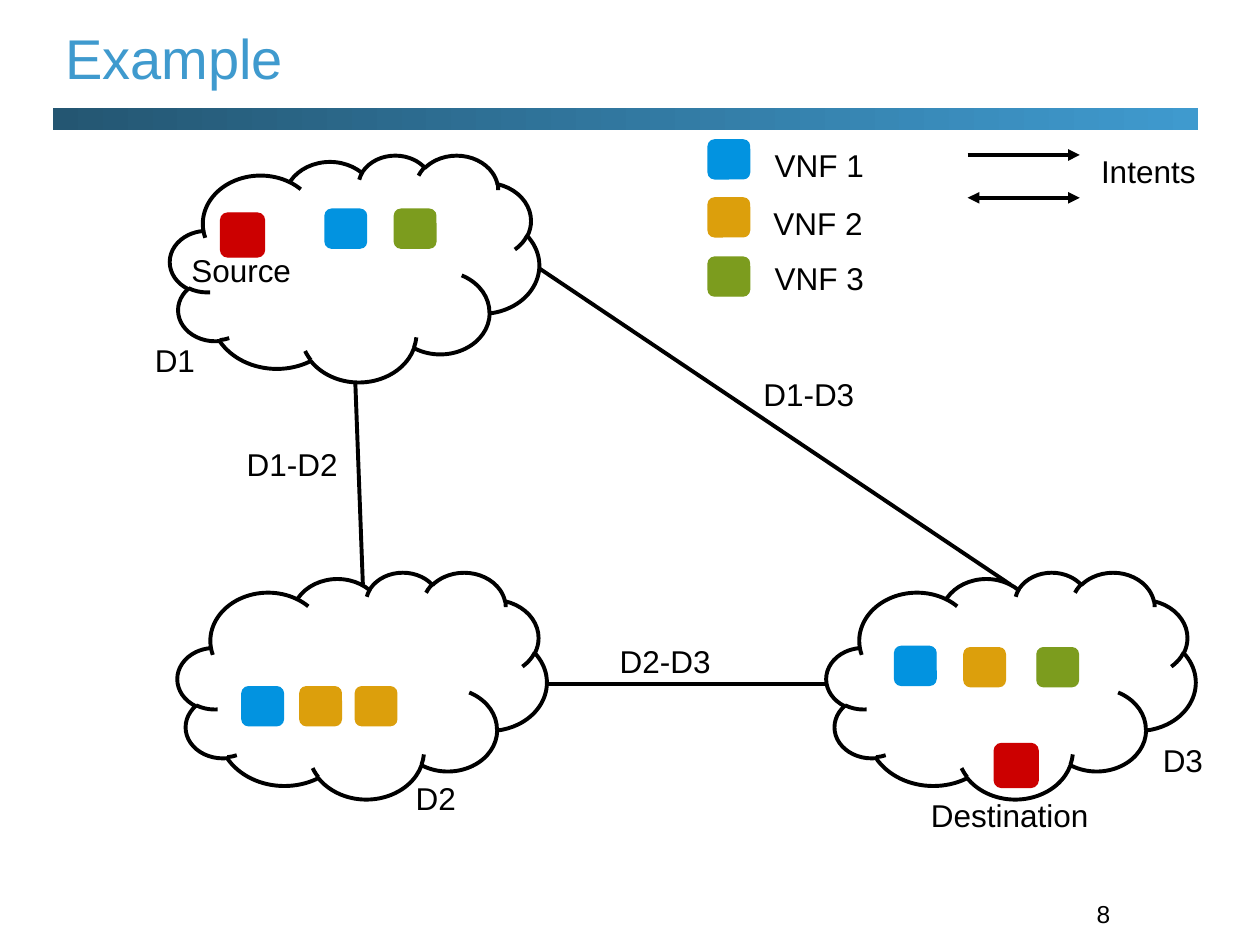
"""Draw three network domains, their functions and the links between them."""
from dataclasses import dataclass

from lxml import etree
from pptx import Presentation
from pptx.dml.color import RGBColor
from pptx.enum.shapes import MSO_CONNECTOR, MSO_SHAPE
from pptx.enum.text import MSO_ANCHOR, MSO_AUTO_SIZE, PP_ALIGN
from pptx.oxml.ns import qn
from pptx.util import Inches, Length, Pt

CLOUD, ROUNDED, RECTANGLE = MSO_SHAPE.CLOUD, MSO_SHAPE.ROUNDED_RECTANGLE, MSO_SHAPE.RECTANGLE
STRAIGHT = MSO_CONNECTOR.STRAIGHT
TOP, MIDDLE = MSO_ANCHOR.TOP, MSO_ANCHOR.MIDDLE
LEFT, RIGHT = PP_ALIGN.LEFT, PP_ALIGN.RIGHT
FIT, FIXED = MSO_AUTO_SIZE.SHAPE_TO_FIT_TEXT, MSO_AUTO_SIZE.NONE
CELL = Inches(0.1)
COLUMNS, ROWS = 100, 75


@dataclass(frozen=True)
class Theme:
    font: str = "Arial"
    title_size: float = 32
    label_size: float = 18
    number_size: float = 14
    stroke: float = 2.25
    thin_stroke: float = 0.75
    paper: str = "FFFFFF"
    ink: str = "000000"
    accent: str = "3F9ACE"
    accent_dark: str = "245672"
    vnf1: str = "0293E0"
    vnf2: str = "DC9F0C"
    vnf3: str = "7C9C1E"
    endpoint: str = "CC0000"


THEME = Theme()


@dataclass(frozen=True)
class Box:
    column: float
    row: float
    columns: float
    rows: float

    def lengths(self) -> tuple[Length, ...]:
        return tuple(Length(round(cells * CELL))
                     for cells in (self.column, self.row, self.columns, self.rows))


@dataclass(frozen=True)
class Label:
    text: str
    box: Box
    size: float = THEME.label_size
    color: str = THEME.ink
    anchor: MSO_ANCHOR = TOP
    align: PP_ALIGN = LEFT
    fit: MSO_AUTO_SIZE = FIT


@dataclass(frozen=True)
class Node:
    column: float
    row: float
    color: str


@dataclass(frozen=True)
class Link:
    start: tuple[float, float]
    end: tuple[float, float]
    arrowheads: tuple[str, ...] = ()


CLOUDS = [(13.5, 12.3), (14.1, 45.4), (65.6, 45.4)]
LINKS = [
    Link((42.8, 21.3), (80.2, 46.4)),
    Link((28.2, 30.3), (28.8, 46.4)),
    Link((43.4, 54.3), (65.7, 54.3)),
    Link((76.8, 12.3), (85.7, 12.3), ("tailEnd",)),
    Link((76.8, 15.7), (85.7, 15.7), ("headEnd", "tailEnd")),
]
FUNCTIONS = [
    Node(56.2, 11.1, THEME.vnf1), Node(56.2, 15.7, THEME.vnf2), Node(56.2, 20.4, THEME.vnf3),
    Node(25.8, 16.6, THEME.vnf1), Node(31.3, 16.6, THEME.vnf3),
    Node(19.2, 54.5, THEME.vnf1), Node(23.8, 54.5, THEME.vnf2), Node(28.2, 54.5, THEME.vnf2),
    Node(71, 51.3, THEME.vnf1), Node(76.5, 51.4, THEME.vnf2), Node(82.3, 51.4, THEME.vnf3),
]
ENDPOINTS = [Node(17.5, 16.9, THEME.endpoint), Node(78.9, 59, THEME.endpoint)]
LABELS = [
    Label("Example", Box(4.2, 0.8, 90.8, 7.5), THEME.title_size, THEME.accent, MIDDLE, fit=FIXED),
    Label("8", Box(83.3, 70, 5.8, 5), THEME.number_size, anchor=MIDDLE, align=RIGHT, fit=FIXED),
    Label("VNF 1", Box(60.5, 11.1, 9.2, 4)),
    Label("VNF 2", Box(60.4, 15.7, 9.2, 4)),
    Label("VNF 3", Box(60.5, 20.1, 9.2, 4)),
    Label("Intents", Box(86.4, 11.6, 9.6, 4)),
    Label("Source", Box(14.2, 19.4, 10, 4)),
    Label("Destination", Box(72.9, 62.7, 14.6, 4)),
    Label("D1", Box(11.3, 26.6, 5.2, 4)),
    Label("D2", Box(32, 61.3, 5.2, 4)),
    Label("D3", Box(91.3, 58.3, 5.2, 4)),
    Label("D1-D2", Box(18.6, 34.8, 9.3, 4)),
    Label("D2-D3", Box(48.2, 50.5, 9.3, 4)),
    Label("D1-D3", Box(59.6, 29.3, 9.3, 4)),
]


def draw_shape(slide, kind: MSO_SHAPE, box: Box, fill: str, line: str, width: float) -> None:
    """Draw an outlined preset shape."""
    shape = slide.shapes.add_shape(kind, *box.lengths())
    shape.shadow.inherit = False
    shape.fill.solid()
    shape.fill.fore_color.rgb = RGBColor.from_string(fill)
    shape.line.color.rgb = RGBColor.from_string(line)
    shape.line.width = Pt(width)


def draw_title_bar(slide) -> None:
    """Draw the bar that darkens towards the left."""
    bar = slide.shapes.add_shape(RECTANGLE, *Box(4.2, 8.6, 90.9, 1.7).lengths())
    bar.shadow.inherit = False
    bar.line.fill.background()
    bar.fill.gradient()
    bar.fill.gradient_angle = 0
    for stop, position, color in zip(bar.fill.gradient_stops, (0, 1),
                                     (THEME.accent_dark, THEME.accent)):
        stop.position = position
        stop.color.rgb = RGBColor.from_string(color)


def draw_link(slide, link: Link) -> None:
    """Draw a straight line with its arrowheads."""
    points = [Length(round(cells * CELL)) for cells in link.start + link.end]
    connector = slide.shapes.add_connector(STRAIGHT, *points)
    connector.line.color.rgb = RGBColor.from_string(THEME.ink)
    connector.line.width = Pt(THEME.stroke)
    properties = connector.line._get_or_add_ln()
    for arrowhead in link.arrowheads:
        etree.SubElement(properties, qn(f"a:{arrowhead}"), type="triangle")
    etree.SubElement(connector._element.spPr, qn("a:effectLst"))


def draw_label(slide, label: Label) -> None:
    """Write one line of text."""
    text_frame = slide.shapes.add_textbox(*label.box.lengths()).text_frame
    text_frame.text = label.text
    text_frame.word_wrap = False
    text_frame.auto_size = label.fit
    text_frame.vertical_anchor = label.anchor
    paragraph = text_frame.paragraphs[0]
    paragraph.alignment = label.align
    font = paragraph.runs[0].font
    font.name = THEME.font
    font.size = Pt(label.size)
    font.color.rgb = RGBColor.from_string(label.color)


def main() -> None:
    """Build the slide and save it."""
    presentation = Presentation()
    presentation.slide_width = COLUMNS * CELL
    presentation.slide_height = ROWS * CELL
    slide = presentation.slides.add_slide(presentation.slide_layouts[6])
    draw_title_bar(slide)
    for column, row in CLOUDS:
        draw_shape(slide, CLOUD, Box(column, row, 29.3, 18), THEME.paper, THEME.ink, THEME.stroke)
    for link in LINKS:
        draw_link(slide, link)
    for nodes, columns, rows in ((FUNCTIONS, 3.3, 3.1), (ENDPOINTS, 3.5, 3.5)):
        for node in nodes:
            box = Box(node.column, node.row, columns, rows)
            draw_shape(slide, ROUNDED, box, node.color, node.color, THEME.thin_stroke)
    for label in LABELS:
        draw_label(slide, label)
    presentation.save("out.pptx")


if __name__ == "__main__":
    main()
